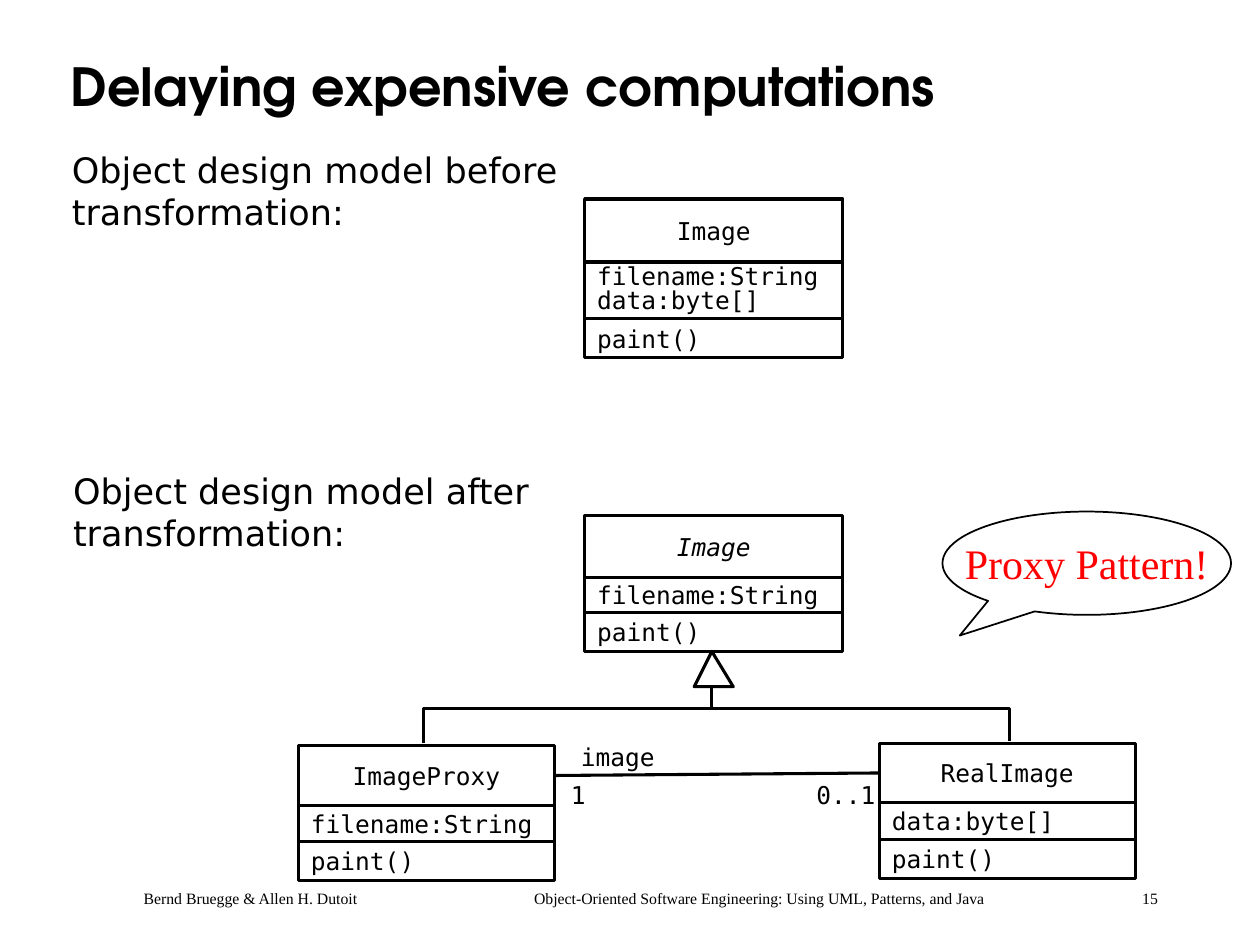
from lxml.etree import SubElement
from pptx import Presentation
from pptx.dml.color import RGBColor
from pptx.enum.shapes import MSO_CONNECTOR as LINE, MSO_SHAPE as SHAPE
from pptx.enum.text import MSO_ANCHOR as ANCHOR, PP_ALIGN as ALIGN
from pptx.oxml.ns import qn
from pptx.util import Inches, Pt

BLACK = RGBColor(0, 0, 0)
WHITE = RGBColor(255, 255, 255)
RED = RGBColor(255, 0, 0)
SANS, MONO = "DejaVu Sans", "DejaVu Sans Mono"
HEADING, SERIF = "TeX Gyre Adventor", "Times New Roman"

TITLE = "Delaying expensive computations"
SECTIONS = [
    ("Object design model before transformation:", (0.57, 1.18, 5.77, 0.67)),
    ("Object design model after transformation:", (0.58, 3.73, 5.6, 0.67)),
]
CLASSES = {
    "before": ("Image", ["filename:String", "data:byte[]"], (4.64, 1.58, 2.05), (0.5, 0.45, 0.31)),
    "abstract": ("Image", ["filename:String"], (4.64, 4.09, 2.05), (0.49, 0.28, 0.31)),
    "proxy": ("ImageProxy", ["filename:String"], (2.37, 5.92, 2.03), (0.47, 0.29, 0.31)),
    "real": ("RealImage", ["data:byte[]"], (6.98, 5.9, 2.03), (0.47, 0.29, 0.31)),
}
OPERATIONS = ["paint()"]
ASSOCIATION_LABELS = [
    ("image", (4.61, 5.89, 0.59, 0.23)),
    ("1", (4.53, 6.19, 0.12, 0.23)),
    ("0..1", (6.48, 6.19, 0.47, 0.23)),
]
INHERITANCE_ARROW = [(5.65, 5.17), (5.82, 5.45), (5.51, 5.45)]
INHERITANCE_BRANCH = [(3.36, 5.9), (3.36, 5.62), (8.01, 5.62), (8.01, 5.88)]
FOOTER = [
    ("Bernd Bruegge & Allen H. Dutoit", (1.14, 7.05, 1.9, 0.15), ALIGN.LEFT),
    ("Object-Oriented Software Engineering: Using UML, Patterns, and Java",
     (4.14, 7.05, 3.77, 0.15), ALIGN.CENTER),
    ("15", (8.79, 7.05, 0.4, 0.15), ALIGN.RIGHT),
]

prs = Presentation()
prs.slide_width, prs.slide_height = Inches(10), Inches(7.5)
slide = prs.slides.add_slide(prs.slide_layouts[5])
shapes = slide.shapes


def place(box):
    return [Inches(value) for value in box]


def write(holder, *lines, font=MONO, size=14, color=BLACK, bold=False, italic=False,
          align=ALIGN.LEFT, anchor=ANCHOR.TOP, inset=(0, 0), wrap=False, spacing=None):
    frame = holder.text_frame
    frame.word_wrap = wrap
    frame.vertical_anchor = anchor
    frame.margin_left = frame.margin_right = Inches(inset[0])
    frame.margin_top = frame.margin_bottom = Inches(inset[1])
    frame.text = "\n".join(lines)
    for paragraph in frame.paragraphs:
        paragraph.alignment = align
        paragraph.line_spacing = spacing
        face = paragraph.font
        face.name, face.size, face.bold, face.italic = font, Pt(size), bold, italic
        face.color.rgb = color


def outline(shape, width=1.75):
    shape.line.color.rgb = BLACK
    shape.line.width = Pt(width)


def add_line(start, end):
    line = shapes.add_connector(LINE.STRAIGHT, *place(start + end))
    outline(line)
    SubElement(line._element.spPr, qn("a:effectLst"))
    return line


def add_outline(points, close):
    first, *rest = [place(point) for point in points]
    builder = shapes.build_freeform(*first)
    builder.add_line_segments(rest, close=close)
    shape = builder.convert_to_shape()
    shape.shadow.inherit = False
    shape.fill.background()
    outline(shape)


def add_class(name, attributes, corner, heights, italic):
    left, top, width = corner
    compartments = []
    for lines, height in zip(([name], attributes, OPERATIONS), heights):
        box = shapes.add_shape(SHAPE.RECTANGLE, *place((left, top, width, height)))
        box.shadow.inherit = False
        box.fill.background()
        outline(box)
        is_name = not compartments
        write(box, *lines, italic=italic and is_name, anchor=ANCHOR.MIDDLE,
              align=ALIGN.CENTER if is_name else ALIGN.LEFT,
              inset=(0 if is_name else 0.1, 0), wrap=True,
              spacing=0.82 if len(lines) > 1 else None)
        compartments.append(box)
        top += height
    return compartments[0]


title = shapes.title
title.left, title.top, title.width, title.height = place((0.46, 0.24, 8.92, 0.94))
write(title, TITLE, font=HEADING, size=30, bold=True, anchor=ANCHOR.MIDDLE,
      inset=(0.1, 0.05), wrap=True, spacing=0.9)

for text, box in SECTIONS:
    write(shapes.add_textbox(*place(box)), text, font=SANS, size=20, wrap=True)

names = {key: add_class(*parts, italic=key == "abstract") for key, parts in CLASSES.items()}

association = add_line((4.4, 6.14), (6.98, 6.14))
association.begin_connect(names["proxy"], 3)
association.end_connect(names["real"], 1)
for text, box in ASSOCIATION_LABELS:
    write(shapes.add_textbox(*place(box)), text)

add_outline(INHERITANCE_ARROW, close=True)
add_outline(INHERITANCE_BRANCH, close=False)
add_line((5.65, 5.62), (5.65, 5.45))

callout = shapes.add_shape(SHAPE.OVAL_CALLOUT, *place((7.48, 4.06, 2.29, 0.82)))
callout.shadow.inherit = False
callout.adjustments[0], callout.adjustments[1] = -0.44, 0.7
callout.fill.solid()
callout.fill.fore_color.rgb = WHITE
outline(callout, 1)
write(callout, "Proxy Pattern!", font=SERIF, size=24, color=RED,
      align=ALIGN.CENTER, anchor=ANCHOR.MIDDLE, inset=(0.1, 0.05))

for text, box, align in FOOTER:
    write(shapes.add_textbox(*place(box)), text, font=SERIF, size=9, align=align, wrap=True)

prs.save("out.pptx")
